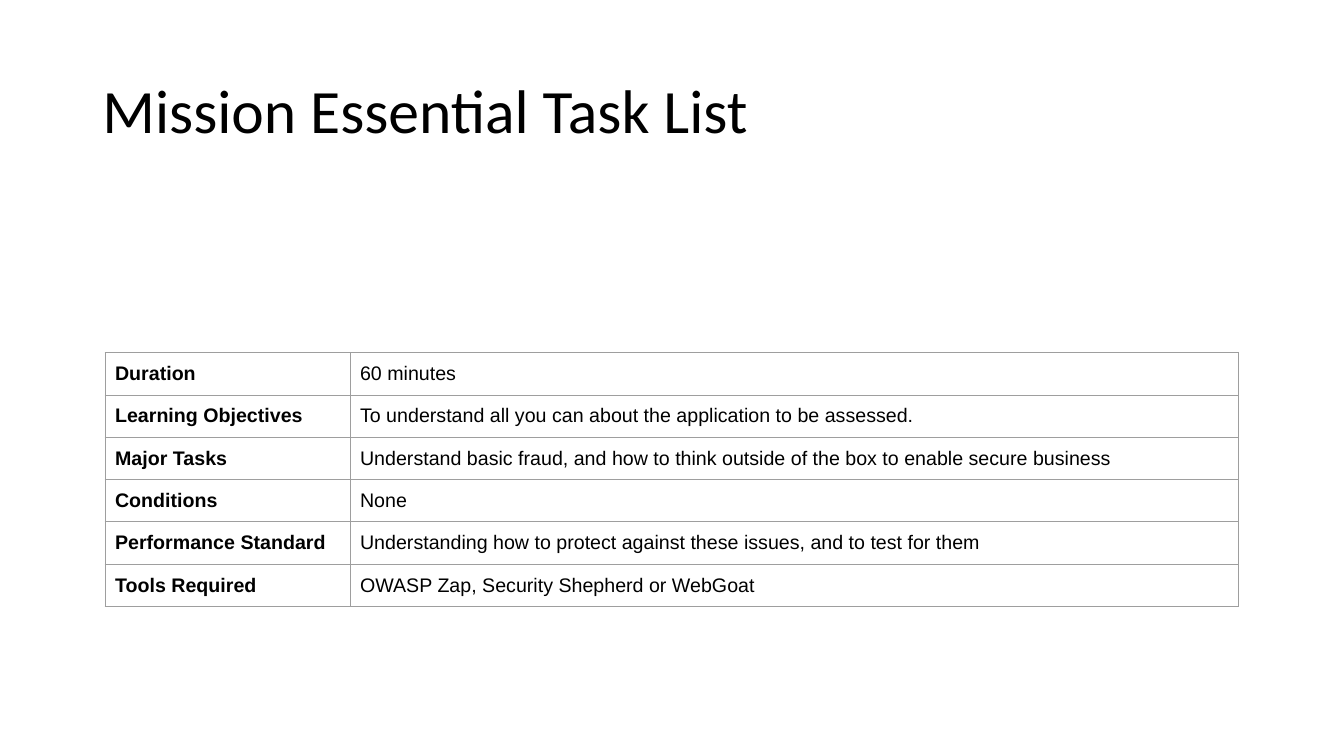
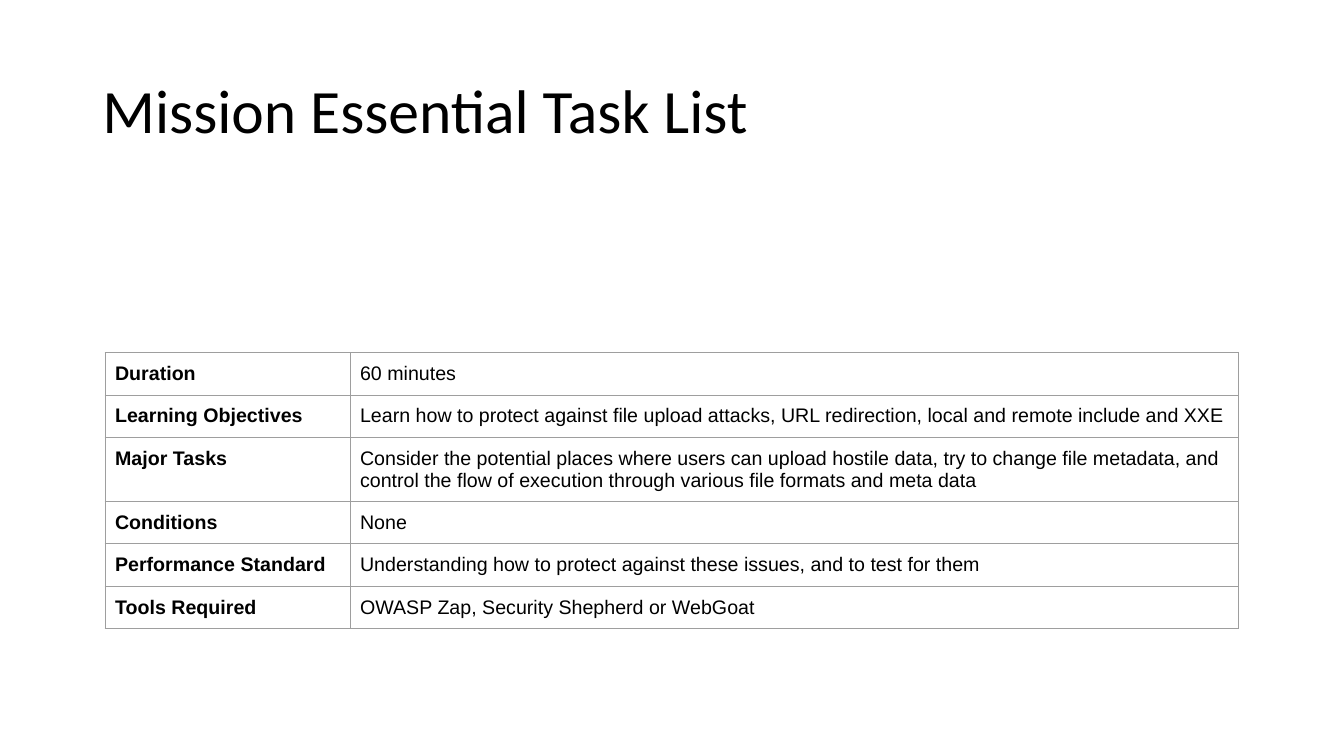
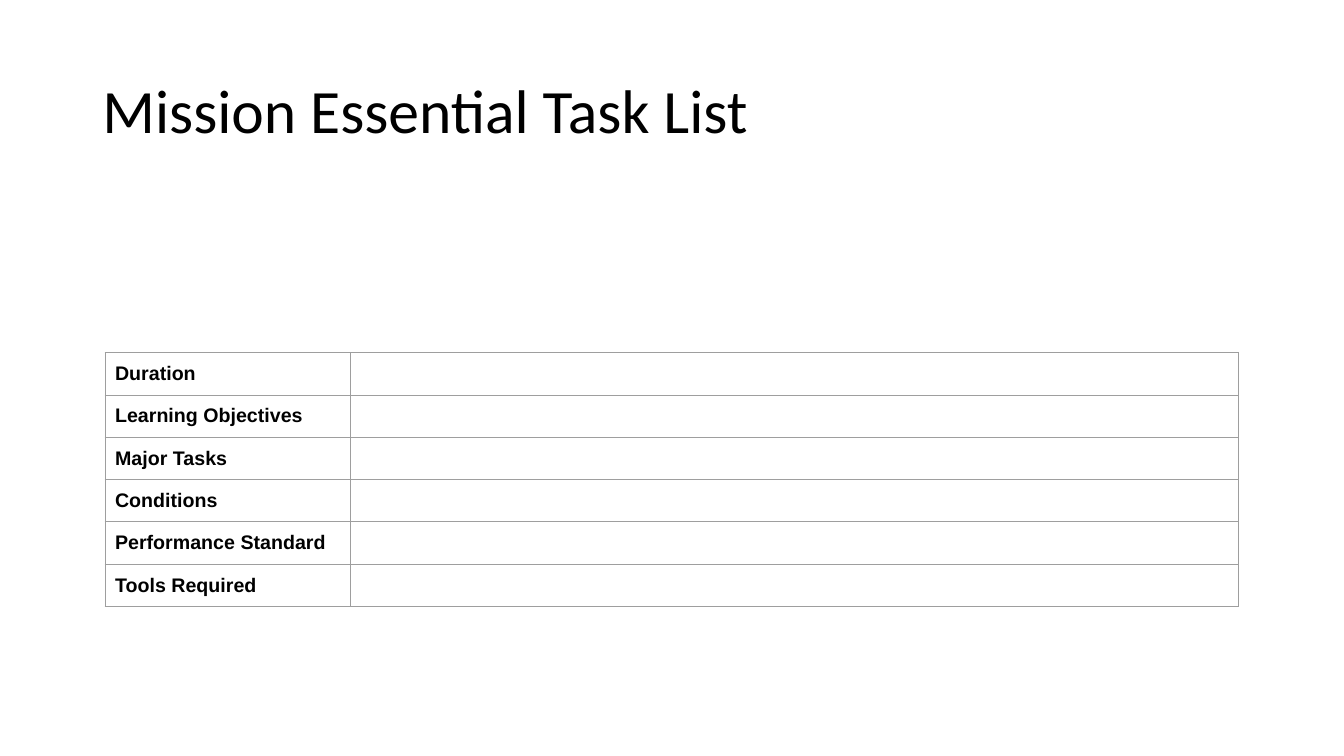
from lxml import etree
from pptx import Presentation
from pptx.dml.color import RGBColor
from pptx.enum import text
from pptx.oxml import ns
from pptx.util import Pt

# Shared style
BLACK = RGBColor(0x00, 0x00, 0x00)
GREY = RGBColor(0x9E, 0x9E, 0x9E)
TITLE_FONT = "Calibri"
TABLE_FONT = "Arial"
TABLE_SIZE = 14
INSET = Pt(7.2)
BORDER_WIDTH = Pt(0.75)
COLUMN_WIDTHS = (Pt(175), Pt(635))
ROW_HEIGHT = Pt(30.2)

# Content
TITLE = "Mission Essential Task List"
LABELS = ("Duration", "Learning Objectives", "Major Tasks", "Conditions",
          "Performance Standard", "Tools Required")
DURATION = "60 minutes"
CONDITIONS = "None"
STANDARD = "Understanding how to protect against these issues, and to test for them"
TOOLS = "OWASP Zap, Security Shepherd or WebGoat"
TASK_LISTS = (
    (DURATION,
     "To understand all you can about the application to be assessed.",
     "Understand basic fraud, and how to think outside of the box to enable "
     "secure business",
     CONDITIONS, STANDARD, TOOLS),
    (DURATION,
     "Learn how to protect against file upload attacks, URL redirection, "
     "local and remote include and XXE",
     "Consider the potential places where users can upload hostile data, try "
     "to change file metadata, and control the flow of execution through "
     "various file formats and meta data",
     CONDITIONS, STANDARD, TOOLS),
    ("",) * len(LABELS),
)


def set_insets(target):
    """Give a cell or text frame the same inset on all sides."""
    target.margin_left = target.margin_right = INSET
    target.margin_top = target.margin_bottom = INSET


def add_title(slide):
    title = slide.shapes.title
    title.left, title.top = Pt(66), Pt(28.8)
    title.width, title.height = Pt(828), Pt(104.4)
    frame = title.text_frame
    frame.text = TITLE
    frame.word_wrap = True
    frame.auto_size = text.MSO_AUTO_SIZE.NONE
    frame.vertical_anchor = text.MSO_ANCHOR.MIDDLE
    set_insets(frame)
    paragraph = frame.paragraphs[0]
    paragraph.alignment = text.PP_ALIGN.LEFT
    paragraph.line_spacing = 0.9
    paragraph.font.name = TITLE_FONT
    paragraph.font.size = Pt(44)
    paragraph.font.color.rgb = BLACK


def set_borders(cell):
    """Draw a thin grey line on each side of a cell."""
    properties = cell._tc.get_or_add_tcPr()
    for position, side in enumerate(("a:lnL", "a:lnR", "a:lnT", "a:lnB")):
        line = etree.Element(ns.qn(side), w=str(BORDER_WIDTH))
        fill = etree.SubElement(line, ns.qn("a:solidFill"))
        etree.SubElement(fill, ns.qn("a:srgbClr"), val=str(GREY))
        properties.insert(position, line)


def fill_cell(cell, words, bold):
    cell.fill.background()
    set_borders(cell)
    set_insets(cell)
    cell.vertical_anchor = text.MSO_ANCHOR.TOP
    paragraph = cell.text_frame.paragraphs[0]
    if words:
        paragraph.text = words
    else:
        # An empty cell takes its line height from the paragraph end mark
        end = etree.SubElement(paragraph._p, ns.qn("a:endParaRPr"),
                               sz=str(TABLE_SIZE * 100))
        etree.SubElement(end, ns.qn("a:latin"), typeface=TABLE_FONT)
    paragraph.font.name = TABLE_FONT
    paragraph.font.size = Pt(TABLE_SIZE)
    paragraph.font.bold = bold
    paragraph.font.color.rgb = BLACK


def add_task_table(slide, details):
    table = slide.shapes.add_table(
        len(LABELS), len(COLUMN_WIDTHS), Pt(75), Pt(252),
        sum(COLUMN_WIDTHS), ROW_HEIGHT * len(LABELS)).table
    table.first_row = table.horz_banding = False
    for column, width in zip(table.columns, COLUMN_WIDTHS):
        column.width = width
    for index, (label, detail) in enumerate(zip(LABELS, details)):
        table.rows[index].height = ROW_HEIGHT
        fill_cell(table.cell(index, 0), label, True)
        fill_cell(table.cell(index, 1), detail, False)


def main():
    presentation = Presentation()
    presentation.slide_width, presentation.slide_height = Pt(960), Pt(540)
    title_only = presentation.slide_layouts[5]
    for details in TASK_LISTS:
        slide = presentation.slides.add_slide(title_only)
        add_title(slide)
        add_task_table(slide, details)
    presentation.save("out.pptx")


if __name__ == "__main__":
    main()
